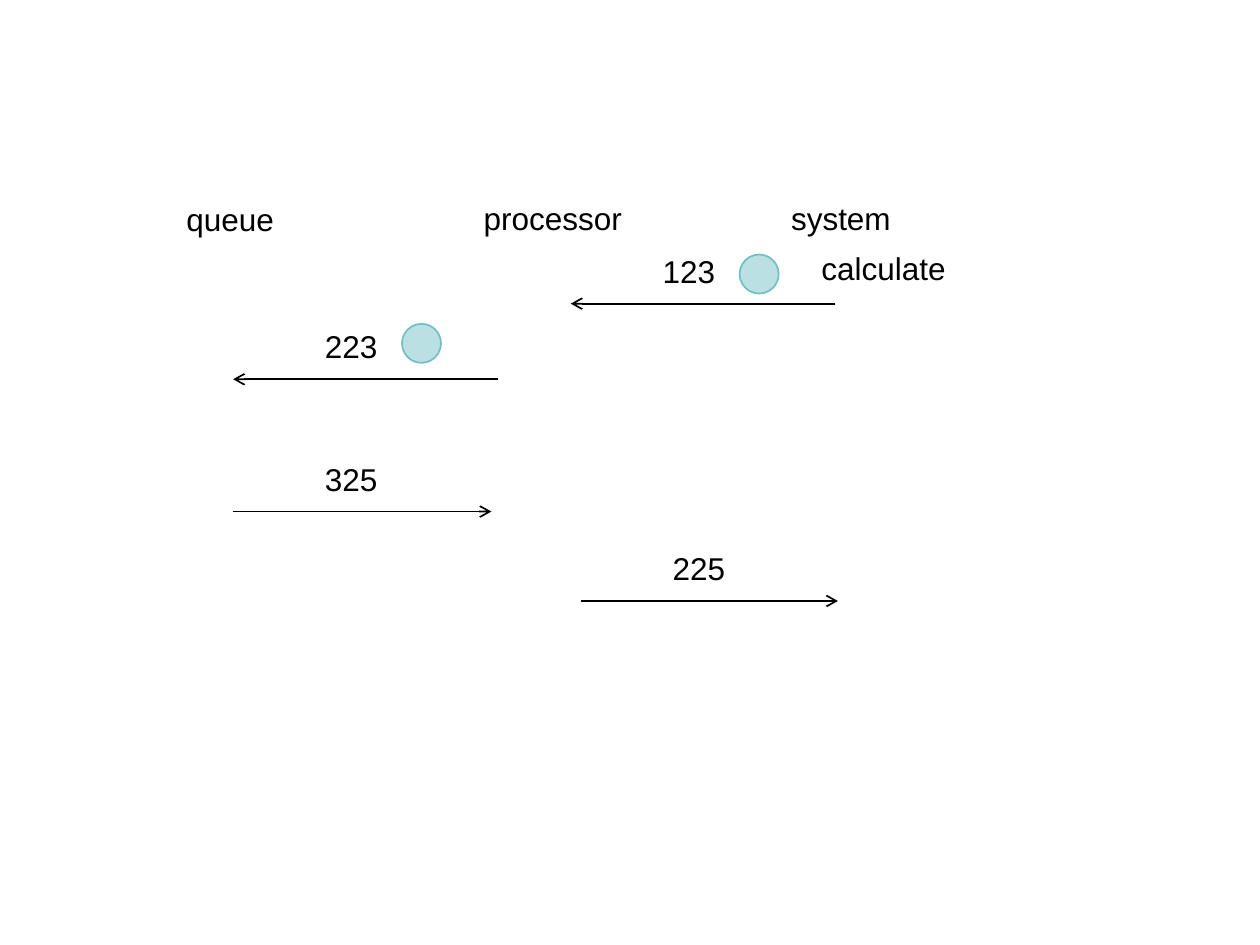
from lxml import etree
from pptx import Presentation
from pptx.dml.color import RGBColor
from pptx.enum import shapes, text
from pptx.oxml.ns import qn
from pptx.util import Inches, Pt

BLACK = RGBColor(0x00, 0x00, 0x00)
TOKEN_FILL = RGBColor(0xBB, 0xE0, 0xE3)
TOKEN_EDGE = RGBColor(0x72, 0xBF, 0xC5)

LABEL_HEIGHT = 0.4
TOKEN_SIZE = 0.31

# Text, left, top, width
HEADINGS = [
    ("queue", 1.38, 1.54, 1.58),
    ("processor", 3.74, 1.53, 1.58),
    ("system", 6.18, 1.53, 1.58),
]
# Code, arrow start x, arrow end x, arrow y
MESSAGES = [
    ("123", 6.63, 4.53, 2.41),
    ("223", 3.95, 1.85, 3.01),
    ("325", 1.85, 3.9, 4.06),
    ("225", 4.61, 6.65, 4.77),
]
TOKENS = [(5.87, 2.02), (3.19, 2.57)]


def add_label(slide, words, left, top, width, size=18, color=BLACK, font="Arial"):
    label = slide.shapes.add_textbox(
        Inches(left), Inches(top), Inches(width), Inches(LABEL_HEIGHT))
    frame = label.text_frame
    frame.word_wrap = True
    frame.auto_size = text.MSO_AUTO_SIZE.SHAPE_TO_FIT_TEXT
    run = frame.paragraphs[0].add_run()
    run.text = words
    run.font.size = Pt(size)
    run.font.name = font
    run.font.color.rgb = color


def add_arrow(slide, start_x, end_x, y):
    arrow = slide.shapes.add_connector(
        shapes.MSO_CONNECTOR.STRAIGHT,
        Inches(start_x), Inches(y), Inches(end_x), Inches(y))
    arrow.line.color.rgb = BLACK
    arrow.line.width = Pt(1)
    etree.SubElement(arrow.line._get_or_add_ln(), qn("a:tailEnd"), type="arrow")
    etree.SubElement(arrow._element.spPr, qn("a:effectLst"))


def add_message(slide, code, start_x, end_x, y):
    """Draw an arrow with its code above, offset from the arrow's left end."""
    add_arrow(slide, start_x, end_x, y)
    add_label(slide, code, min(start_x, end_x) + 0.63, y - 0.46, 1.42)


def add_token(slide, left, top):
    token = slide.shapes.add_shape(
        shapes.MSO_SHAPE.OVAL, Inches(left), Inches(top),
        Inches(TOKEN_SIZE), Inches(TOKEN_SIZE))
    token.shadow.inherit = False
    token.fill.solid()
    token.fill.fore_color.rgb = TOKEN_FILL
    token.line.color.rgb = TOKEN_EDGE
    token.line.width = Pt(1)


def main():
    deck = Presentation()
    deck.slide_width, deck.slide_height = Inches(10), Inches(7.5)
    slide = deck.slides.add_slide(deck.slide_layouts[6])
    for heading in HEADINGS:
        add_label(slide, *heading)
    for message in MESSAGES:
        add_message(slide, *message)
    for token in TOKENS:
        add_token(slide, *token)
    add_label(slide, "calculate", 6.42, 1.93, 5)
    deck.save("out.pptx")


if __name__ == "__main__":
    main()
